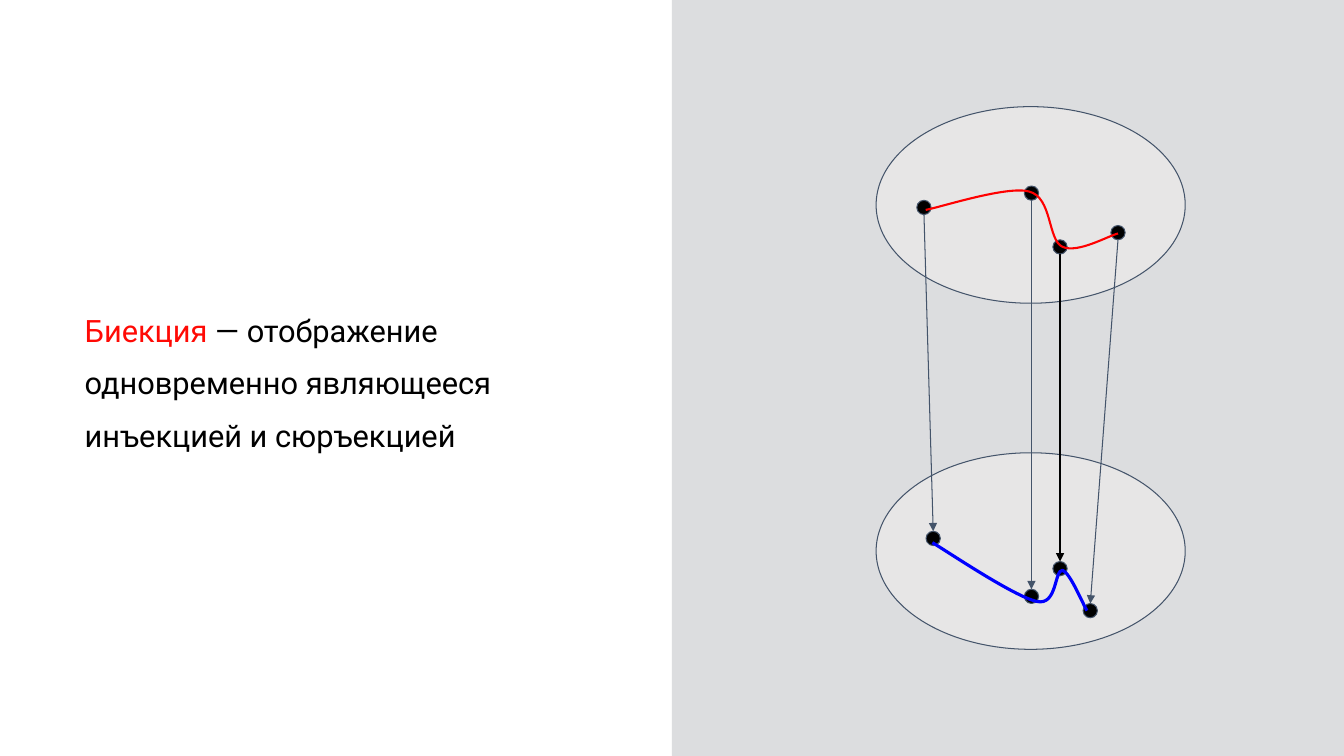
from typing import NamedTuple

from lxml.etree import SubElement
from pptx import Presentation
from pptx.dml.color import RGBColor
from pptx.enum.shapes import MSO_CONNECTOR as Connector, MSO_SHAPE as Preset
from pptx.enum.text import MSO_ANCHOR as Anchor
from pptx.oxml.ns import qn
from pptx.util import Inches, Pt

# Grid of 16 by 9 square cells
COLUMNS = 16
SLIDE_WIDTH, SLIDE_HEIGHT = Inches(13.3333), Inches(7.5)
CELL = SLIDE_WIDTH / COLUMNS

COLORS = {
    "panel": "DCDDDF",
    "set": "E7E6E6",
    "outline": "44546A",
    "black": "000000",
    "term": "FF0A05",
    "red": "FF0000",
    "blue": "0000FF",
}
DOT_SIZE = 0.17
SET_LEFT, SET_WIDTH, SET_HEIGHT = 10.43, 3.68, 2.34
SET_TOPS = (1.27, 5.39)


class Point(NamedTuple):
    column: float
    row: float


class Mapping(NamedTuple):
    source: Point
    target: Point
    color: str = "outline"
    width: float = 0.75


class Curve(NamedTuple):
    color: str
    width: float
    start: Point
    controls: list[Point]  # three for each cubic segment


MAPPINGS = [
    Mapping(Point(11, 2.47), Point(11.11, 6.41)),
    Mapping(Point(12.28, 2.3), Point(12.28, 7.1)),
    Mapping(Point(12.62, 2.94), Point(12.62, 6.77), "black", 1.5),
    Mapping(Point(13.31, 2.77), Point(12.98, 7.27)),
]
CURVES = [
    Curve("red", 1.5, Point(11.02, 2.5), [
        Point(11.22, 2.46), Point(11.99, 2.21), Point(12.25, 2.28),
        Point(12.53, 2.35), Point(12.47, 2.86), Point(12.65, 2.94),
        Point(12.83, 3.02), Point(13.19, 2.81), Point(13.31, 2.78),
    ]),
    Curve("blue", 2.25, Point(11.1, 6.46), [
        Point(11.3, 6.58), Point(12.07, 7.1), Point(12.34, 7.16),
        Point(12.59, 7.22), Point(12.55, 6.78), Point(12.65, 6.79),
        Point(12.74, 6.82), Point(12.89, 7.19), Point(12.94, 7.27),
    ]),
]


def cells(*counts: float) -> tuple[int, ...]:
    return tuple(round(count * CELL) for count in counts)


def rgb(name: str) -> RGBColor:
    return RGBColor.from_string(COLORS[name])


def set_line(line, color: str, width: float) -> None:
    line.color.rgb = rgb(color)
    line.width = Pt(width)


def add_filled(shapes, preset, left: float, top: float, width: float,
               height: float, fill: str, outline: str | None = "outline"):
    shape = shapes.add_shape(preset, *cells(left, top, width, height))
    shape.shadow.inherit = False
    shape.fill.solid()
    shape.fill.fore_color.rgb = rgb(fill)
    if outline:
        set_line(shape.line, outline, 0.75)
    else:
        shape.line.fill.background()
    return shape


def add_dot(shapes, center: Point):
    return add_filled(shapes, Preset.OVAL, center.column - DOT_SIZE / 2,
                      center.row - DOT_SIZE / 2, DOT_SIZE, DOT_SIZE, "black")


def add_arrow(shapes, mapping: Mapping, target_dot) -> None:
    source, target = mapping.source, mapping.target
    arrow = shapes.add_connector(
        Connector.STRAIGHT,
        *cells(source.column, source.row + DOT_SIZE / 2,
               target.column, target.row - DOT_SIZE / 2))
    arrow.end_connect(target_dot, 0)
    set_line(arrow.line, mapping.color, mapping.width)
    properties = arrow._element.spPr
    SubElement(properties.find(qn("a:ln")), qn("a:tailEnd"), type="triangle")
    SubElement(properties, qn("a:effectLst"))


def add_curve(shapes, curve: Curve) -> None:
    builder = shapes.build_freeform(*cells(*curve.start))
    builder.add_line_segments([cells(*point) for point in curve.controls],
                              close=False)
    shape = builder.convert_to_shape()
    shape.shadow.inherit = False
    shape.fill.background()
    set_line(shape.line, curve.color, curve.width)
    # Join every three segments into one cubic curve
    outline = next(shape._element.iter(qn("a:path")))
    segments = outline.findall(qn("a:lnTo"))
    for first in range(0, len(segments), 3):
        cubic = SubElement(outline, qn("a:cubicBezTo"))
        for segment in segments[first:first + 3]:
            cubic.append(segment[0])
            outline.remove(segment)


def add_definition(shapes) -> None:
    text_frame = shapes.add_textbox(*cells(0.89, 0.91, 6.14, 7.1)).text_frame
    text_frame.word_wrap = True
    text_frame.vertical_anchor = Anchor.MIDDLE
    paragraph = text_frame.paragraphs[0]
    paragraph.line_spacing = 1.43
    for text, color in (
        ("Биекция ", "term"),
        ("— отображение одновременно являющееся инъекцией и сюръекцией",
         "black"),
    ):
        run = paragraph.add_run()
        run.text = text
        run.font.name = "Roboto"
        run.font.size = Pt(22)
        run.font.color.rgb = rgb(color)


def main() -> None:
    presentation = Presentation()
    presentation.slide_width = SLIDE_WIDTH
    presentation.slide_height = SLIDE_HEIGHT
    slide = presentation.slides.add_slide(presentation.slide_layouts[6])
    shapes = slide.shapes

    # Right panel and definition
    add_filled(shapes, Preset.RECTANGLE, 8, 0, 8, 9, "panel", None)
    add_definition(shapes)

    # The two sets
    for top in SET_TOPS:
        add_filled(shapes, Preset.OVAL, SET_LEFT, top, SET_WIDTH, SET_HEIGHT,
                   "set")

    # Points and the arrows between them
    for mapping in MAPPINGS:
        add_dot(shapes, mapping.source)
        add_arrow(shapes, mapping, add_dot(shapes, mapping.target))

    # Curves through the points
    for curve in CURVES:
        add_curve(shapes, curve)

    presentation.save("out.pptx")


if __name__ == "__main__":
    main()
